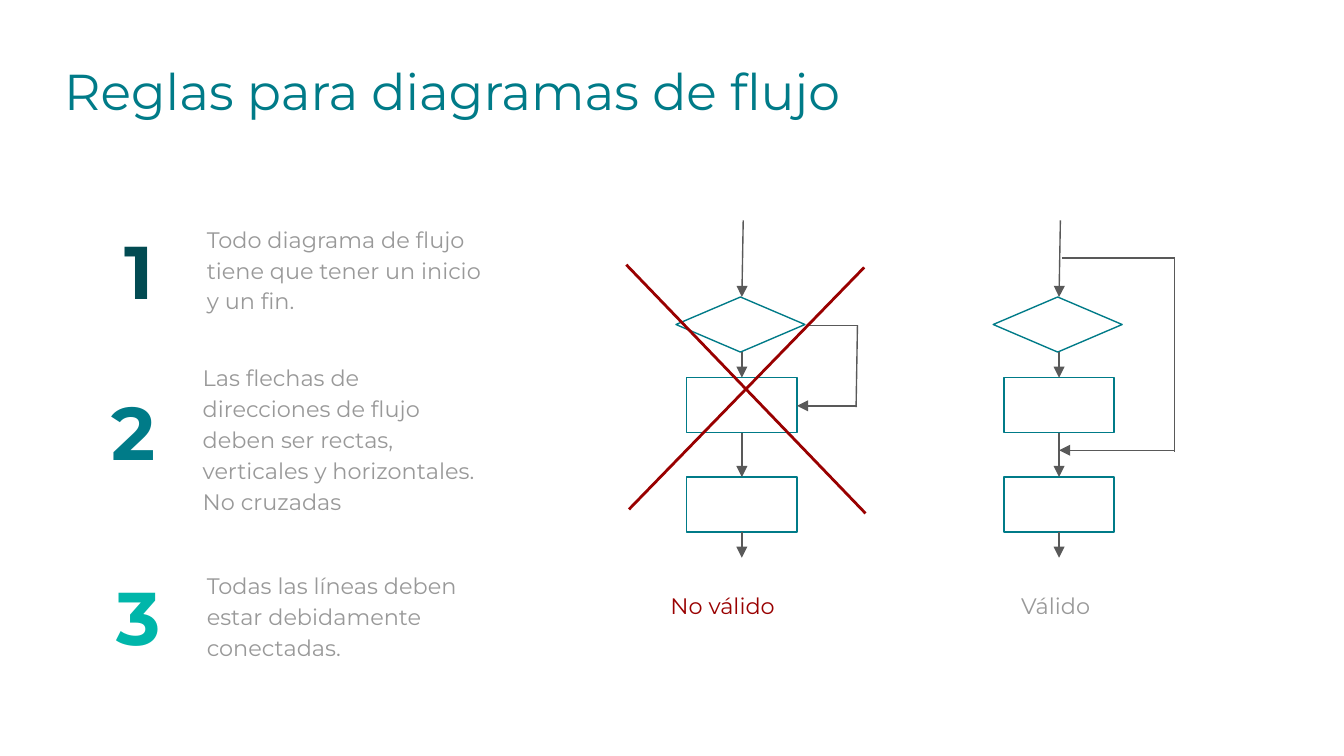
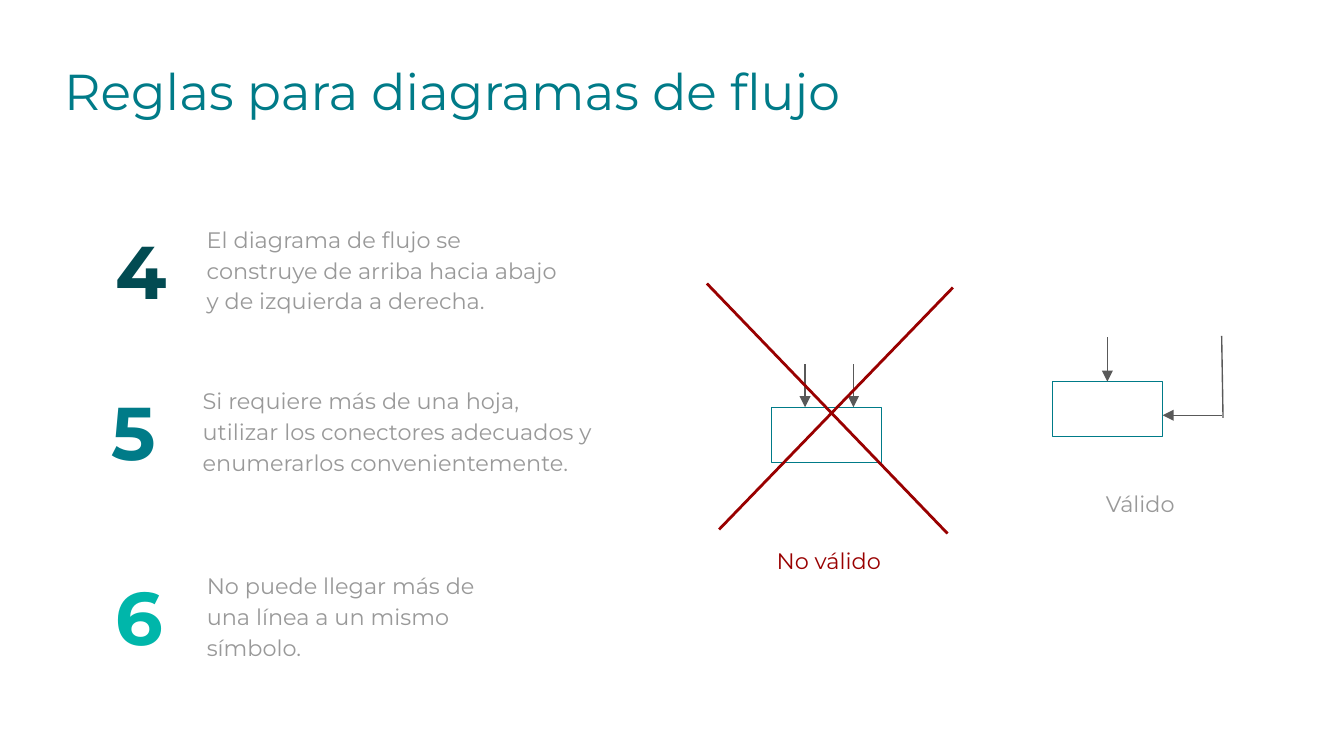
from lxml import etree
from pptx import Presentation
from pptx.dml.color import RGBColor
from pptx.enum import shapes, text
from pptx.oxml.ns import qn
from pptx.util import Inches, Pt

FONT = "Montserrat"
DARK_TEAL = RGBColor(0x02, 0x4B, 0x52)
TEAL = RGBColor(0x00, 0x7B, 0x88)
MINT = RGBColor(0x00, 0xB6, 0xAA)
GRAY = RGBColor(0x99, 0x99, 0x99)
LINE_GRAY = RGBColor(0x59, 0x59, 0x59)
RED = RGBColor(0x99, 0x00, 0x00)
WHITE = RGBColor(0xFF, 0xFF, 0xFF)

TITLE = "Reglas para diagramas de flujo"

# Rules: text, top, width, height
FIRST_RULES = [
    ("Todo diagrama de flujo tiene que tener un inicio y un fin.", 1.55, 2.31, 0.87),
    ("Las flechas de direcciones de flujo deben ser rectas, verticales y "
     "horizontales. No cruzadas", 2.58, 2.31, 1.33),
    ("Todas las líneas deben estar debidamente conectadas.", 4.13, 2.31, 0.87),
]
LAST_RULES = [
    ("El diagrama de flujo se construye de arriba hacia abajo y de izquierda "
     "a derecha.", 1.55, 2.84, 0.87),
    ("Si requiere más de una hoja, utilizar los conectores adecuados y "
     "enumerarlos convenientemente.", 2.75, 3.16, 0.87),
    ("No puede llegar más de una línea a un mismo símbolo.", 4.13, 2.31, 0.87),
]
# Number style per row: left, top, colour, left of the rule text
NUMBER_ROWS = [
    (0.76, 1.57, DARK_TEAL, 1.44),
    (0.72, 2.77, TEAL, 1.41),
    (0.76, 4.15, MINT, 1.44),
]

BOX_WIDTH, BOX_HEIGHT = 0.82, 0.41
DECISION_WIDTH = 0.96
DECISION_TOP, PROCESS_TOPS = 2.21, (2.81, 3.55)


def add_text(slide, content, left, top, width, height, size, color,
             bold=False, centered=False, spacing=None):
    box = slide.shapes.add_textbox(Inches(left), Inches(top), Inches(width), Inches(height))
    frame = box.text_frame
    frame.word_wrap = True
    frame.margin_left = frame.margin_right = Inches(0.1)
    frame.margin_top = frame.margin_bottom = Inches(0.1)
    frame.text = content
    paragraph = frame.paragraphs[0]
    if centered:
        paragraph.alignment = text.PP_ALIGN.CENTER
    if spacing:
        paragraph.line_spacing = spacing
        frame.auto_size = text.MSO_AUTO_SIZE.SHAPE_TO_FIT_TEXT
    font = paragraph.runs[0].font
    font.name, font.size, font.bold = FONT, Pt(size), bold
    font.color.rgb = color


def add_body(slide, content, left, top, width, height, color=GRAY):
    add_text(slide, content, left, top, width, height, 12, color, spacing=1.15)


def add_verdict(slide, valid, left, top):
    if valid:
        add_body(slide, "Válido", left, top, 0.72, 0.4)
    else:
        add_body(slide, "No válido", left, top, 1.48, 0.4, RED)


def add_line(slide, start, end, color=LINE_GRAY, width=0.75, arrow=False):
    line = slide.shapes.add_connector(
        shapes.MSO_CONNECTOR.STRAIGHT, *(Inches(value) for value in (*start, *end)))
    line.line.color.rgb = color
    line.line.width = Pt(width)
    if arrow:
        outline = line.line._get_or_add_ln()
        etree.SubElement(outline, qn("a:tailEnd"), type="triangle", w="med", len="med")
    etree.SubElement(line._element.spPr, qn("a:effectLst"))


def add_arrow(slide, start, end):
    add_line(slide, start, end, arrow=True)


def add_cross(slide, falling, rising):
    for start, end in (falling, rising):
        add_line(slide, start, end, RED, 1.5)


def add_symbol(slide, kind, center, top, width=BOX_WIDTH):
    shape = slide.shapes.add_shape(
        kind, Inches(center - width / 2), Inches(top), Inches(width), Inches(BOX_HEIGHT))
    shape.shadow.inherit = False
    shape.fill.background()
    shape.line.color.rgb = TEAL
    shape.line.width = Pt(0.75)


def add_process(slide, center, top):
    add_symbol(slide, shapes.MSO_SHAPE.RECTANGLE, center, top)


def add_flow(slide, center):
    """A decision above two processes, joined by downward arrows."""
    add_symbol(slide, shapes.MSO_SHAPE.FLOWCHART_DECISION, center - 0.01,
               DECISION_TOP, DECISION_WIDTH)
    for top in PROCESS_TOPS:
        add_process(slide, center, top)
    add_arrow(slide, (center + 0.01, 1.64), (center, DECISION_TOP))
    tops = (DECISION_TOP, *PROCESS_TOPS, 4.15)
    for top, next_top in zip(tops, tops[1:]):
        add_arrow(slide, (center, top + BOX_HEIGHT), (center, next_top))


def add_rules_slide(presentation, first_number, rules):
    slide = presentation.slides.add_slide(presentation.slide_layouts[6])
    slide.background.fill.solid()
    slide.background.fill.fore_color.rgb = WHITE
    add_text(slide, TITLE, 0.38, 0.35, 7.16, 0.55, 27, TEAL)
    for index, (row, rule) in enumerate(zip(NUMBER_ROWS, rules)):
        left, top, color, rule_left = row
        content, rule_top, width, height = rule
        add_text(slide, str(first_number + index), left, top, 0.55, 0.73, 40, color,
                 bold=True, centered=True)
        add_body(slide, content, rule_left, rule_top, width, height)
    return slide


def add_flow_examples(slide):
    # Invalid: the branch enters the side of a process
    add_flow(slide, 5.52)
    add_line(slide, (6, 2.42), (6.38, 2.42))
    add_line(slide, (6.38, 2.42), (6.37, 3.03))
    add_arrow(slide, (6.38, 3.02), (5.93, 3.02))
    add_cross(slide, ((4.66, 1.97), (6.44, 3.82)), ((6.43, 1.99), (4.68, 3.79)))
    add_verdict(slide, False, 4.89, 4.28)

    # Valid: the branch joins the flow line
    add_flow(slide, 7.88)
    add_line(slide, (7.9, 1.92), (8.74, 1.92))
    add_line(slide, (8.74, 1.93), (8.74, 3.36))
    add_arrow(slide, (8.74, 3.35), (7.88, 3.35))
    add_verdict(slide, True, 7.5, 4.28)


def add_entry_examples(slide):
    # Invalid: two arrows reach the same side
    add_process(slide, 6.15, 3.03)
    for x in (5.99, 6.35):
        add_arrow(slide, (x, 2.71), (x, 3.03))
    add_cross(slide, ((5.26, 2.11), (7.05, 3.97)), ((7.09, 2.14), (5.35, 3.94)))
    add_verdict(slide, False, 5.68, 3.94)

    # Valid: one arrow from above and one from the side
    add_process(slide, 8.24, 2.84)
    add_arrow(slide, (8.24, 2.51), (8.24, 2.84))
    add_line(slide, (9.09, 2.5), (9.1, 3.11))
    add_arrow(slide, (9.09, 3.09), (8.65, 3.09))
    add_verdict(slide, True, 8.13, 3.52)


def main():
    presentation = Presentation()
    # Widescreen, 16:9
    presentation.slide_width = Inches(10)
    presentation.slide_height = Inches(10 * 9 / 16)
    add_flow_examples(add_rules_slide(presentation, 1, FIRST_RULES))
    add_entry_examples(add_rules_slide(presentation, 4, LAST_RULES))
    presentation.save("out.pptx")


if __name__ == "__main__":
    main()
